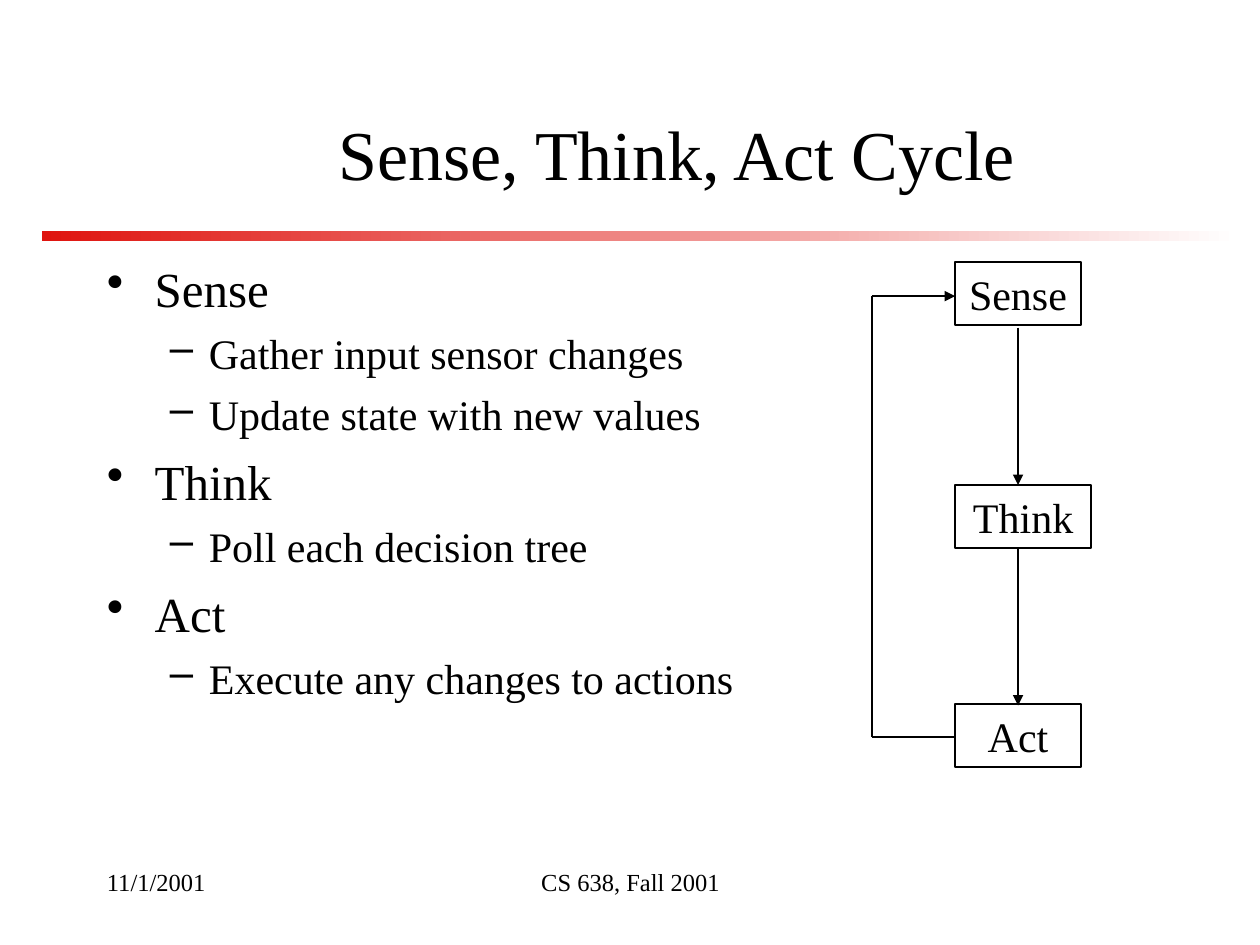
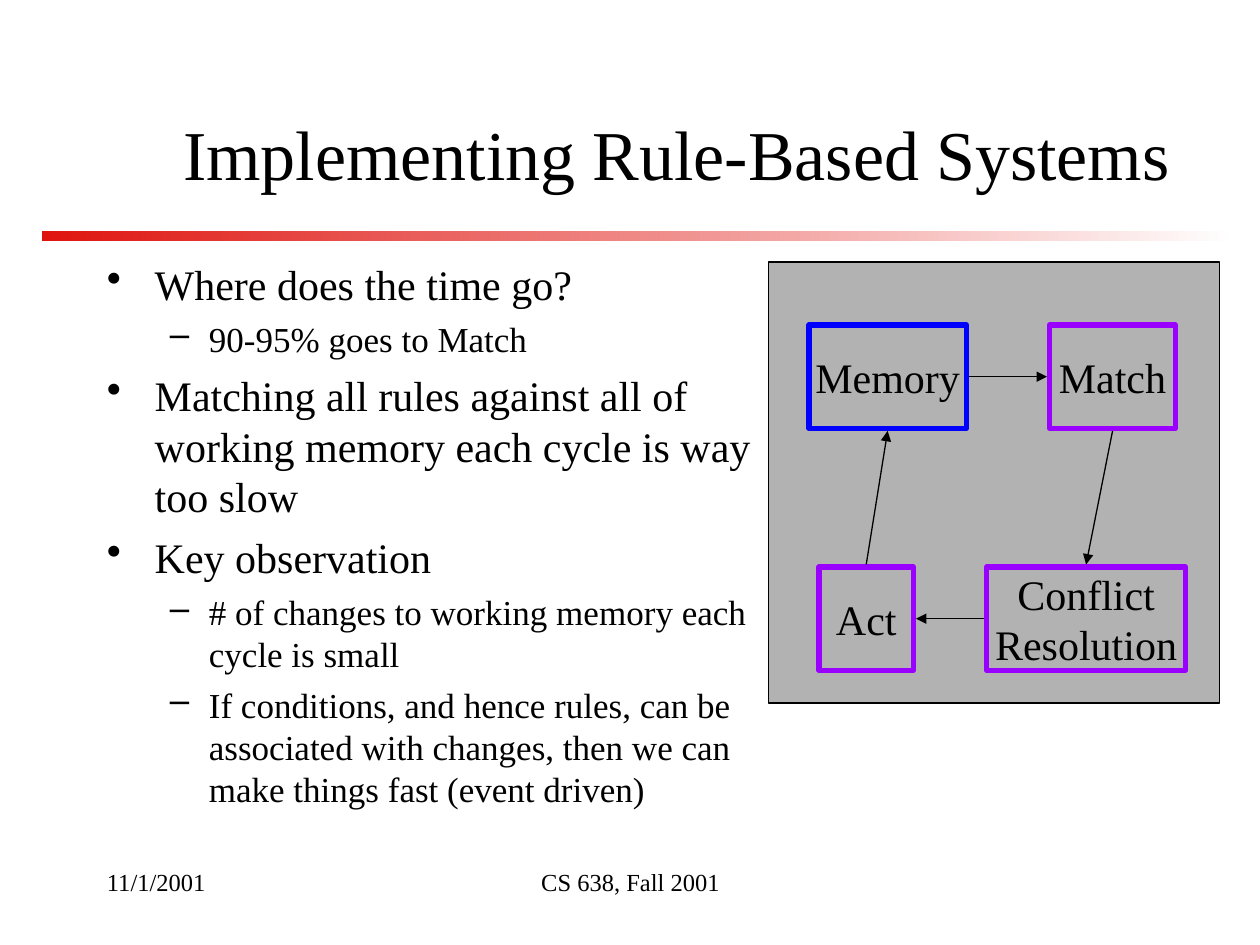
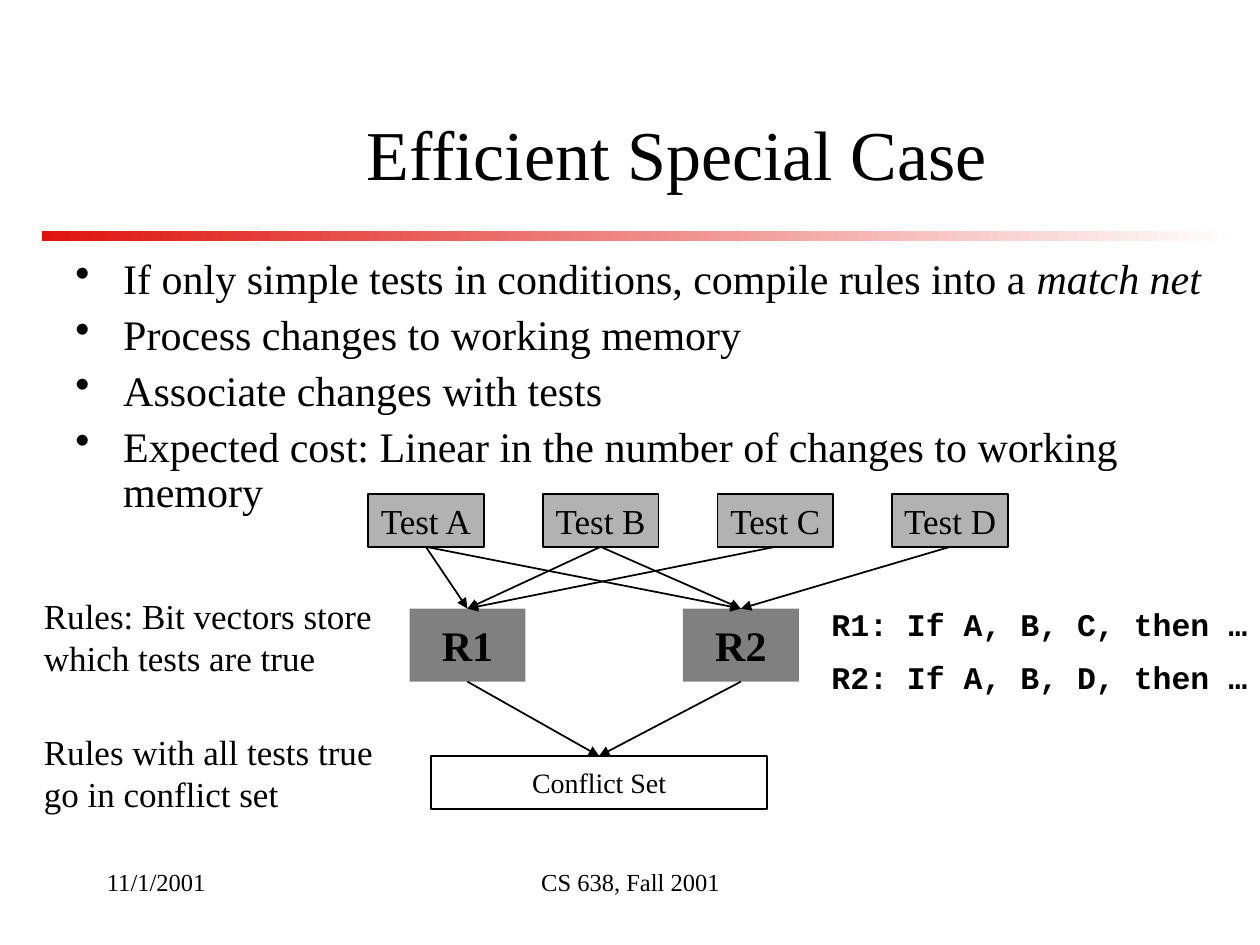
from dataclasses import dataclass

from lxml import etree
from pptx import Presentation
from pptx.dml.color import RGBColor
from pptx.enum.shapes import MSO_CONNECTOR as Connector
from pptx.enum.shapes import MSO_SHAPE as Shape
from pptx.enum.text import MSO_ANCHOR as Anchor
from pptx.enum.text import PP_ALIGN as Align
from pptx.oxml.ns import qn
from pptx.util import Inches, Pt


@dataclass(frozen=True)
class Theme:
    font: str = "Times New Roman"
    code_font: str = "Courier New"
    ink: str = "000000"
    paper: str = "FFFFFF"
    red: str = "DF140F"
    panel: str = "B2B2B2"
    rule: str = "808080"
    purple: str = "9900FF"
    blue: str = "0000FF"
    title: int = 40
    large: int = 28
    medium: int = 24
    small: int = 20
    code: int = 18
    caption: int = 16
    footer: int = 14
    hairline: float = 0.75
    line: float = 1
    border: float = 3


THEME = Theme()
# Bullet character, left margin and hanging indent of each level
LEVELS = [("•", 0.38, 0.38), ("–", 0.81, 0.31)]


def color(value):
    return RGBColor.from_string(value)


# Text
def add_span(para, text, size, font=THEME.font, bold=False, italic=False):
    span = para.add_run()
    span.text = text
    span.font.name = font
    span.font.size = Pt(size)
    span.font.bold = bold
    span.font.italic = italic
    span.font.color.rgb = color(THEME.ink)


def write_lines(frame, text, size, align=Align.LEFT, **style):
    for index, line in enumerate(text.split("\n")):
        para = frame.paragraphs[0] if index == 0 else frame.add_paragraph()
        para.alignment = align
        add_span(para, line, size, **style)


def add_frame(page, place, anchor=Anchor.TOP):
    frame = page.shapes.add_textbox(*map(Inches, place)).text_frame
    frame.word_wrap = True
    frame.vertical_anchor = anchor
    return frame


def add_text(page, place, text, size, align=Align.LEFT, anchor=Anchor.TOP, **style):
    write_lines(add_frame(page, place, anchor), text, size, align, **style)


def set_bullet(para, level):
    mark, margin, hanging = LEVELS[level]
    props = para._p.get_or_add_pPr()
    props.set("marL", str(Inches(margin)))
    props.set("indent", str(-Inches(hanging)))
    etree.SubElement(props, qn("a:buChar")).set("char", mark)


def add_bullets(page, place, items, sizes, spacing=1.0):
    """Each item is a level followed by its text and, if any, an italic ending."""
    frame = add_frame(page, place)
    for index, (level, text, *emphasis) in enumerate(items):
        para = frame.paragraphs[0] if index == 0 else frame.add_paragraph()
        para.level = level
        para.line_spacing = spacing
        para.space_before = Pt(sizes[level] // 4)
        set_bullet(para, level)
        add_span(para, text, sizes[level])
        for ending in emphasis:
            add_span(para, ending, sizes[level], italic=True)


# Boxes and arrows
def add_box(page, place, text="", size=THEME.medium, fill=None, line=THEME.ink,
            width=THEME.line, bold=False):
    box = page.shapes.add_shape(Shape.RECTANGLE, *map(Inches, place))
    box.shadow.inherit = False
    if fill:
        box.fill.solid()
        box.fill.fore_color.rgb = color(fill)
    else:
        box.fill.background()
    if line:
        box.line.color.rgb = color(line)
        box.line.width = Pt(width)
    else:
        box.line.fill.background()
    if text:
        box.text_frame.word_wrap = False
        box.text_frame.vertical_anchor = Anchor.MIDDLE
        write_lines(box.text_frame, text, size, Align.CENTER, bold=bold)
    return box


def side(box, name, gap=0.0):
    """Point in the middle of one side, in inches, moved out by the gap."""
    across, down = {"left": (-1, 0), "right": (1, 0),
                    "top": (0, -1), "bottom": (0, 1)}[name]
    return (box.left.inches + box.width.inches * (1 + across) / 2 + gap * across,
            box.top.inches + box.height.inches * (1 + down) / 2 + gap * down)


def add_arrow(page, *points, width=THEME.line):
    """Join the points with straight lines; the last one gets the arrowhead."""
    for start, end in zip(points, points[1:]):
        arrow = page.shapes.add_connector(
            Connector.STRAIGHT, *map(Inches, (*start, *end)))
        arrow.line.color.rgb = color(THEME.ink)
        arrow.line.width = Pt(width)
        etree.SubElement(arrow._element.spPr, qn("a:effectLst"))
    etree.SubElement(arrow.line._get_or_add_ln(), qn("a:tailEnd")).set("type", "triangle")


# Shared parts of every page
def add_page(deck, title):
    page = deck.slides.add_slide(deck.slide_layouts[6])
    band = add_box(page, (0.33, 1.83, 9.5, 0.08), line=None)
    band.fill.gradient()
    band.fill.gradient_angle = 0
    for stop, value in zip(band.fill.gradient_stops, (THEME.red, THEME.paper)):
        stop.color.rgb = color(value)
    add_text(page, (1.33, 0.67, 8.08, 1.08), title, THEME.title,
             Align.CENTER, Anchor.MIDDLE)
    add_text(page, (3.42, 6.83, 3.17, 0.5), "CS 638, Fall 2001", THEME.footer,
             Align.CENTER)
    add_text(page, (0.75, 6.83, 2.08, 0.5), "11/1/2001", THEME.footer)
    return page


# Pages
def build_cycle_page(deck):
    page = add_page(deck, "Sense, Think, Act Cycle")
    add_bullets(page, (0.75, 2, 8.67, 4.5), [
        (0, "Sense"),
        (1, "Gather input sensor changes"),
        (1, "Update state with new values"),
        (0, "Think"),
        (1, "Poll each decision tree"),
        (0, "Act"),
        (1, "Execute any changes to actions"),
    ], (THEME.large, THEME.medium))

    left, axis, loop = 7.58, 8.08, 6.92
    for text, top, width in [("Sense", 2.08, 1), ("Think", 3.85, 1.08), ("Act", 5.59, 1)]:
        add_box(page, (left, top, width, 0.5), text)
    add_arrow(page, (axis, 2.6), (axis, 3.85))
    add_arrow(page, (axis, 4.35), (axis, 5.6))
    add_arrow(page, (left, 5.85), (loop, 5.85), (loop, 2.35), (left, 2.35))


def build_rules_page(deck):
    page = add_page(deck, "Implementing Rule-Based Systems")
    add_bullets(page, (0.75, 2, 5.5, 4.5), [
        (0, "Where does the time go?"),
        (1, "90-95% goes to Match"),
        (0, "Matching all rules against all of working memory each cycle is way too slow"),
        (0, "Key observation"),
        (1, "# of changes to working memory each cycle is small"),
        (1, "If conditions, and hence rules, can be associated with changes, "
            "then we can make things fast (event driven)"),
    ], (THEME.medium, THEME.small))

    add_box(page, (6.1, 2.08, 3.58, 3.5), fill=THEME.panel, width=THEME.hairline)
    memory, match, conflict, act = [
        add_box(page, (left, top, width, 0.82), text, line=line, width=THEME.border)
        for text, left, top, width, line in [
            ("Memory", 6.42, 2.58, 1.25, THEME.blue),
            ("Match", 8.33, 2.58, 1, THEME.purple),
            ("Conflict\nResolution", 7.83, 4.5, 1.58, THEME.purple),
            ("Act", 6.5, 4.5, 0.75, THEME.purple),
        ]]
    for source, leaving, target, entering in [
            (memory, "right", match, "left"), (match, "bottom", conflict, "top"),
            (conflict, "left", act, "right"), (act, "top", memory, "bottom")]:
        add_arrow(page, side(source, leaving, 0.02), side(target, entering, 0.02),
                  width=THEME.hairline)


def build_match_net_page(deck):
    page = add_page(deck, "Efficient Special Case")
    add_bullets(page, (0.5, 2, 9.17, 2.17), [
        (0, "If only simple tests in conditions, compile rules into a ", "match net"),
        (0, "Process changes to working memory"),
        (0, "Associate changes with tests"),
        (0, "Expected cost: Linear in the number of changes to working memory"),
    ], (THEME.medium,), spacing=0.9)

    # Tests feed the rules, and the rules feed the conflict set
    tests = {name: add_box(page, (2.92 + 1.387 * index, 3.92, 0.92, 0.42),
                           f"Test {name}", THEME.small, THEME.panel)
             for index, name in enumerate("ABCD")}
    conflict_set = add_box(page, (3.42, 6, 2.67, 0.42), "Conflict Set",
                           THEME.caption, THEME.paper)
    for index, (name, left, needed) in enumerate([("R1", 3.25, "ABC"), ("R2", 5.42, "ABD")]):
        rule = add_box(page, (left, 4.83, 0.92, 0.58), name, fill=THEME.rule,
                       line=None, bold=True)
        for test in needed:
            add_arrow(page, side(tests[test], "bottom"), side(rule, "top"))
        add_arrow(page, side(rule, "bottom"), side(conflict_set, "top"))
        add_text(page, (6.5, 4.75 + 0.42 * index, 3.5, 0.4),
                 f"{name}: If {', '.join(needed)}, then …", THEME.code,
                 font=THEME.code_font, bold=True)

    # Side notes
    for top, note in [(4.67, "Rules: Bit vectors store which tests are true"),
                      (5.75, "Rules with all tests true go in conflict set")]:
        add_text(page, (0.25, top, 3, 0.77), note, THEME.small)


def main():
    deck = Presentation()
    deck.slide_width, deck.slide_height = Inches(10), Inches(7.5)
    build_cycle_page(deck)
    build_rules_page(deck)
    build_match_net_page(deck)
    deck.save("out.pptx")


if __name__ == "__main__":
    main()
